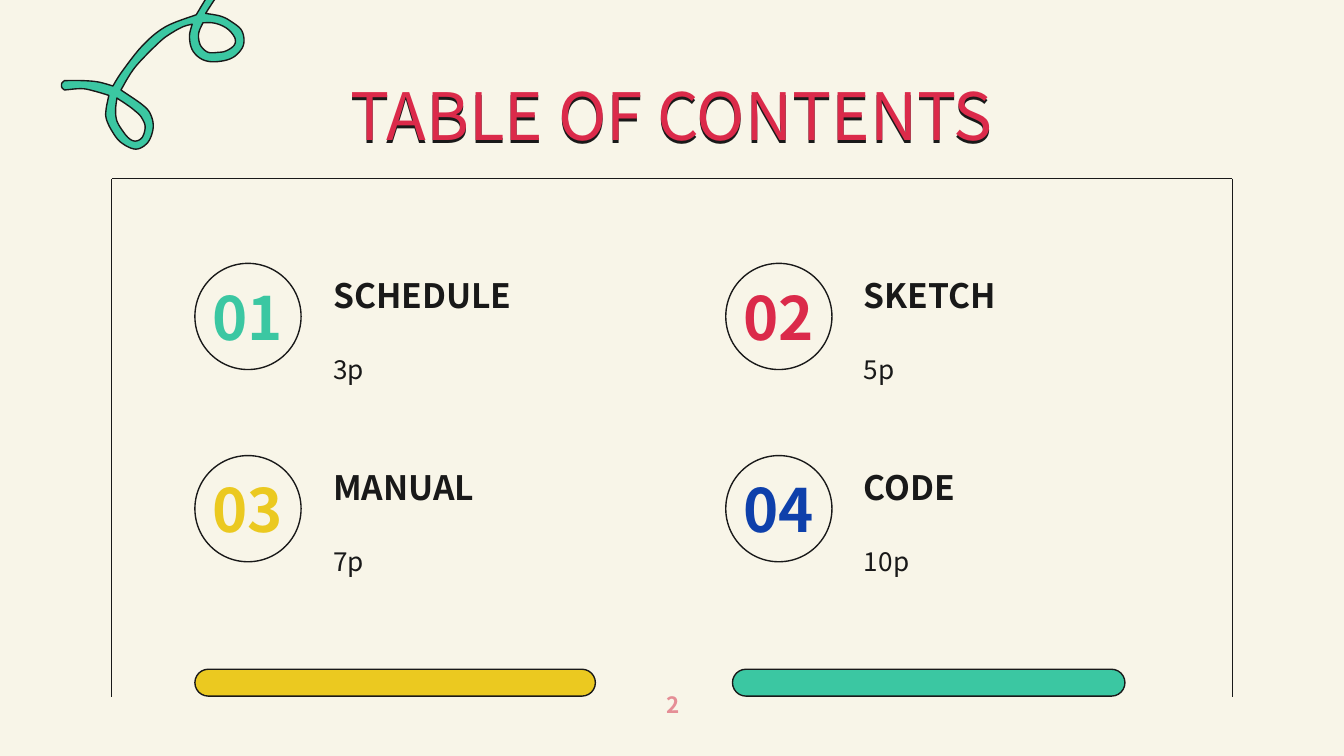
import lxml.etree
import pptx
import pptx.dml.color
import pptx.enum.shapes
import pptx.enum.text
import pptx.oxml.ns
import pptx.util

Inches = pptx.util.Inches
RGBColor = pptx.dml.color.RGBColor
MSO_SHAPE = pptx.enum.shapes.MSO_SHAPE
PP_ALIGN = pptx.enum.text.PP_ALIGN
qn = pptx.oxml.ns.qn

CREAM = RGBColor(0xF8, 0xF5, 0xE8)
INK = RGBColor(0x19, 0x19, 0x19)
GREEN = RGBColor(0x3B, 0xC7, 0xA2)
YELLOW = RGBColor(0xEB, 0xC9, 0x20)
RED = RGBColor(0xDB, 0x2A, 0x4A)
BLUE = RGBColor(0x0E, 0x40, 0xAB)
PINK = RGBColor(0xE5, 0x8E, 0x96)
FONT = "Noto Sans CJK KR"

TITLE = "TABLE OF CONTENTS"
PAGE_NUMBER = "2"
ENTRIES = [
    ("01", "SCHEDULE", "3p", GREEN),
    ("02", "SKETCH", "5p", RED),
    ("03", "MANUAL", "7p", YELLOW),
    ("04", "CODE", "10p", BLUE),
]
BARS = [(1.45, 2.98, YELLOW), (5.45, 2.92, GREEN)]

SLIDE_WIDTH = 10
SLIDE_HEIGHT = SLIDE_WIDTH * 9 / 16
FRAME_LEFT, FRAME_RIGHT, FRAME_TOP, FRAME_BOTTOM = 0.83, 9.17, 1.33, 5.19
GRID_LEFT, GRID_TOP, COLUMN_STEP, ROW_STEP = 1.45, 1.96, 3.95, 1.43
CIRCLE = 0.79

# Each ribbon contour is a chain of smooth strokes that meet at sharp corners.
RIBBON_EDGE = [
    [(2.09, -0.34), (1.94, -0.34), (1.7, -0.2), (1.58, -0.08), (1.46, 0.11)],
    [(1.46, 0.11), (1.23, 0.2), (1.06, 0.34), (0.91, 0.53), (0.84, 0.64)],
    [(0.84, 0.64), (0.73, 0.61), (0.61, 0.6), (0.48, 0.6)],
    [(0.48, 0.6), (0.46, 0.62), (0.46, 0.65), (0.48, 0.67)],
    [(0.48, 0.67), (0.61, 0.66), (0.71, 0.68), (0.81, 0.71)],
    [(0.81, 0.71), (0.79, 0.81), (0.79, 0.88), (0.83, 0.97), (0.9, 1.06),
     (1.01, 1.11), (1.1, 1.06), (1.14, 0.95), (1.12, 0.85), (1.06, 0.78),
     (0.9, 0.67)],
    [(0.9, 0.67), (0.97, 0.55), (1.04, 0.46), (1.19, 0.31), (1.27, 0.25),
     (1.36, 0.2), (1.43, 0.18)],
    [(1.43, 0.18), (1.41, 0.27), (1.43, 0.37), (1.5, 0.44), (1.6, 0.46),
     (1.73, 0.43), (1.81, 0.34), (1.8, 0.23), (1.72, 0.16), (1.64, 0.12),
     (1.53, 0.1)],
    [(1.53, 0.1), (1.61, -0.02), (1.69, -0.1), (1.79, -0.19), (1.91, -0.25),
     (2.02, -0.28), (2.08, -0.27), (2.12, -0.31), (2.09, -0.34)],
]
UPPER_LOOP = [
    [(1.51, 0.17), (1.58, 0.17), (1.65, 0.19), (1.71, 0.23), (1.75, 0.29),
     (1.74, 0.34), (1.68, 0.38), (1.62, 0.39), (1.55, 0.39), (1.5, 0.35),
     (1.48, 0.3), (1.48, 0.24), (1.51, 0.17)],
]
LOWER_LOOP = [
    [(0.87, 0.73), (0.96, 0.79), (1.01, 0.83), (1.05, 0.87), (1.08, 0.94),
     (1.06, 1.02), (1.01, 1.05), (0.96, 1.03), (0.91, 0.97), (0.87, 0.9),
     (0.86, 0.82), (0.87, 0.73)],
]


def catmull_rom(stroke, steps=6):
    """Return points in EMU on a smooth curve through the stroke."""
    padded = [stroke[0], *stroke, stroke[-1]]
    points = [stroke[0]]
    for a, b, c, d in zip(padded, padded[1:], padded[2:], padded[3:]):
        for t in (step / steps for step in range(1, steps + 1)):
            points.append(tuple(
                q + ((r - p) * t + (2 * p - 5 * q + 4 * r - s) * t ** 2
                     + (3 * q - p - 3 * r + s) * t ** 3) / 2
                for p, q, r, s in zip(a, b, c, d)))
    return [(Inches(x), Inches(y)) for x, y in points]


def style(shape, fill=None):
    shape.shadow.inherit = False
    if fill is None:
        shape.fill.background()
    else:
        shape.fill.solid()
        shape.fill.fore_color.rgb = fill
    shape.line.color.rgb = INK
    shape.line.width = pptx.util.Pt(0.75)


def add_shape(slide, kind, box, fill=None):
    shape = slide.shapes.add_shape(kind, *map(Inches, box))
    style(shape, fill)
    return shape


def add_line(slide, *ends):
    line = slide.shapes.add_connector(
        pptx.enum.shapes.MSO_CONNECTOR.STRAIGHT, *map(Inches, ends))
    line.line.color.rgb = INK
    line.line.width = pptx.util.Pt(0.75)
    lxml.etree.SubElement(line._element.spPr, qn("a:effectLst"))


def add_text(slide, text, box, size, color, bold=False, align=PP_ALIGN.LEFT):
    text_box = slide.shapes.add_textbox(*map(Inches, box))
    frame = text_box.text_frame
    inset = Inches(0.1)
    frame_format = {
        "word_wrap": True,
        "vertical_anchor": pptx.enum.text.MSO_ANCHOR.MIDDLE,
        "margin_left": inset, "margin_right": inset,
        "margin_top": inset, "margin_bottom": inset,
    }
    for name, value in frame_format.items():
        setattr(frame, name, value)
    paragraph = frame.paragraphs[0]
    paragraph.alignment = align
    run = paragraph.add_run()
    run.text = text
    font_format = {"name": FONT, "size": pptx.util.Pt(size), "bold": bold}
    for name, value in font_format.items():
        setattr(run.font, name, value)
    run.font.color.rgb = color
    return text_box


def add_hard_shadow(text_box):
    effects = lxml.etree.SubElement(text_box._element.spPr, qn("a:effectLst"))
    shadow = lxml.etree.SubElement(
        effects, qn("a:outerShdw"), dist=str(Inches(0.02)), dir="5400000",
        algn="bl", rotWithShape="0")
    lxml.etree.SubElement(shadow, qn("a:srgbClr"), val=str(INK))


def add_ribbon(slide):
    builder = None
    for contour in (RIBBON_EDGE, UPPER_LOOP, LOWER_LOOP):
        points = [point for stroke in contour for point in catmull_rom(stroke)]
        if builder is None:
            builder = slide.shapes.build_freeform(*points[0])
        else:
            builder.move_to(*points[0])
        builder.add_line_segments(points[1:], close=True)
    style(builder.convert_to_shape(), GREEN)


def add_entry(slide, index, number, heading, page, color):
    row, column = divmod(index, 2)
    left = GRID_LEFT + column * COLUMN_STEP
    top = GRID_TOP + row * ROW_STEP
    add_shape(slide, MSO_SHAPE.OVAL, (left, top, CIRCLE, CIRCLE))
    add_text(slide, number, (left - 0.07, top + 0.13, 0.93, 0.53), 32, color,
             bold=True, align=PP_ALIGN.CENTER)
    add_text(slide, heading, (left + 0.93, top - 0.16, 2.29, 0.79), 18, INK,
             bold=True)
    add_text(slide, page, (left + 0.93, top + 0.63, 2.29, 0.31), 14, INK)


def main():
    presentation = pptx.Presentation()
    presentation.slide_width = Inches(SLIDE_WIDTH)
    presentation.slide_height = Inches(SLIDE_HEIGHT)
    slide = presentation.slides.add_slide(presentation.slide_layouts[6])
    slide.background.fill.solid()
    slide.background.fill.fore_color.rgb = CREAM

    for x in (FRAME_RIGHT, FRAME_LEFT):
        add_line(slide, x, FRAME_TOP, x, FRAME_BOTTOM)
    add_line(slide, FRAME_RIGHT, FRAME_TOP, FRAME_LEFT, FRAME_TOP)
    add_ribbon(slide)
    for left, width, color in BARS:
        bar = add_shape(slide, MSO_SHAPE.ROUNDED_RECTANGLE,
                        (left, 4.98, width, 0.2), color)
        bar.adjustments[0] = 0.5

    title = add_text(slide, TITLE, (1.6, 0.55, 6.8, 0.6), 35, RED,
                     align=PP_ALIGN.CENTER)
    add_hard_shadow(title)
    for index, entry in enumerate(ENTRIES):
        add_entry(slide, index, *entry)
    add_text(slide, PAGE_NUMBER, (3.88, 5.09, 2.25, 0.3), 12, PINK,
             bold=True, align=PP_ALIGN.CENTER)
    presentation.save("out.pptx")


if __name__ == "__main__":
    main()
